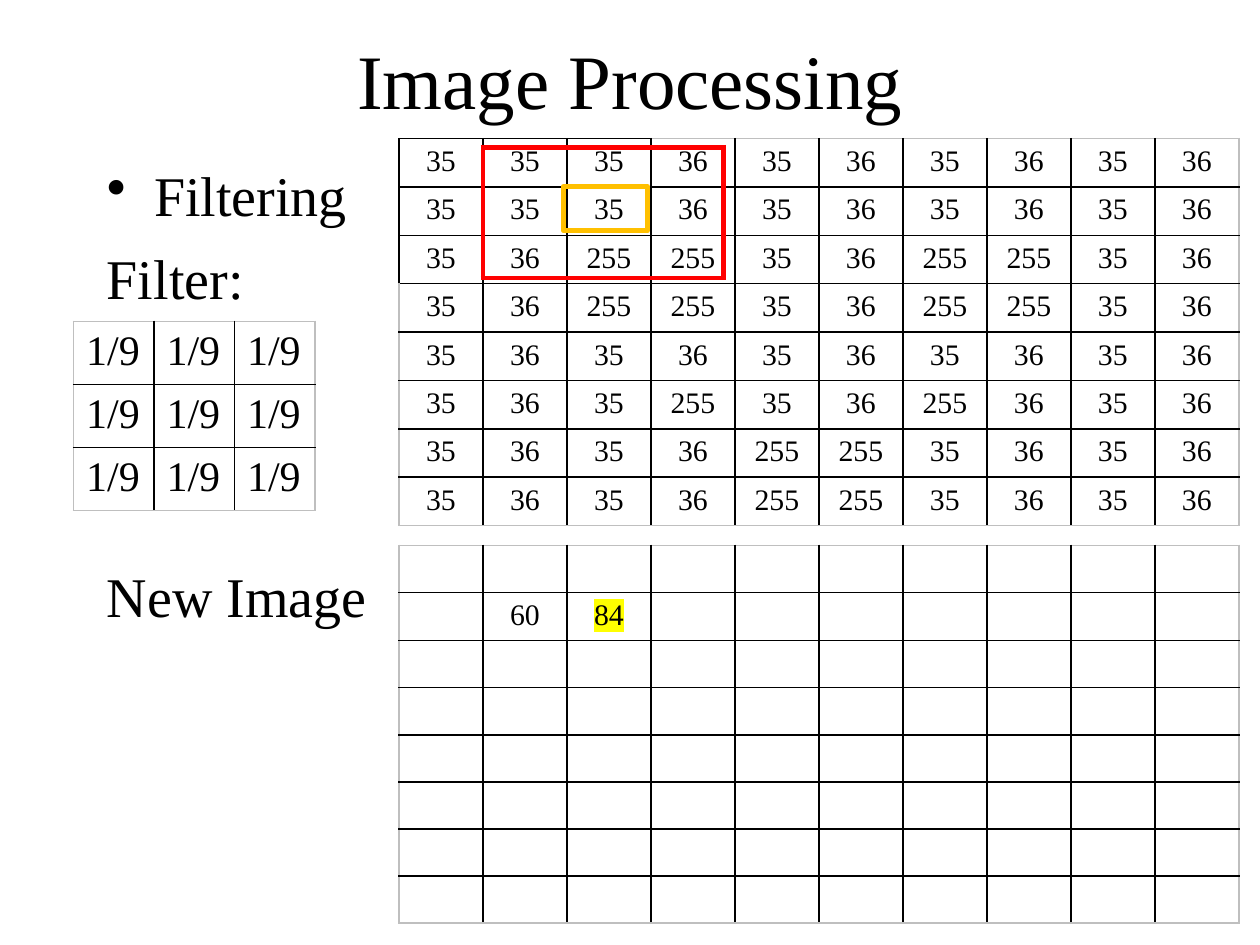
import pptx
import pptx.dml.color
import pptx.enum.shapes
import pptx.enum.text
import pptx.oxml
import pptx.oxml.ns
import pptx.util
from pptx.util import Pt

COLORS = {"black": "000000", "edge": "BFBFBF", "red": "FF0000",
          "orange": "FFC000", "yellow": "FFFF00"}
FONT = "Times New Roman"
ALIGN = pptx.enum.text.PP_ALIGN
NAMESPACE = pptx.oxml.ns.nsdecls("a")


def write(paragraph, text, size, align=ALIGN.LEFT, before=0, highlight=None):
    paragraph.alignment = align
    paragraph.space_before = Pt(before)
    run = paragraph.add_run()
    run.text = text
    run.font.name = FONT
    run.font.size = Pt(size)
    run.font.color.rgb = pptx.dml.color.RGBColor.from_string(COLORS["black"])
    if highlight:
        mark = pptx.oxml.parse_xml(
            f'<a:highlight {NAMESPACE}><a:srgbClr val="{COLORS[highlight]}"/></a:highlight>')
        run.font.fill._xPr.find(pptx.oxml.ns.qn("a:solidFill")).addnext(mark)


def add_grid(values, left, top, column_width, row_height, size=17, align=ALIGN.CENTER,
             outer="edge", line_width=1, dark_edge=0, highlights=()):
    """Add an unfilled bordered table; dark_edge counts the cells from the
    top-left corner whose outer border is black."""
    row_count, column_count = len(values), len(values[0])
    table = slide.shapes.add_table(
        row_count, column_count, Pt(left), Pt(top),
        Pt(column_width * column_count), Pt(row_height * row_count)).table
    table.first_row = table.horz_banding = False
    for column in table.columns:
        column.width = Pt(column_width)
    for row in table.rows:
        row.height = Pt(row_height)
    for r, row_values in enumerate(values):
        for c, value in enumerate(row_values):
            cell = table.cell(r, c)
            borders = {
                "lnL": outer if c == 0 and r >= dark_edge else "black",
                "lnR": outer if c == column_count - 1 else "black",
                "lnT": outer if r == 0 and c >= dark_edge else "black",
                "lnB": outer if r == row_count - 1 else "black",
            }
            properties = cell._tc.get_or_add_tcPr()
            for side, color in borders.items():
                properties.append(pptx.oxml.parse_xml(
                    f'<a:{side} {NAMESPACE} w="{Pt(line_width)}"><a:solidFill>'
                    f'<a:srgbClr val="{COLORS[color]}"/></a:solidFill></a:{side}>'))
            cell.fill.background()
            if value:
                mark = "yellow" if value in highlights else None
                write(cell.text_frame.paragraphs[0], value, size, align, highlight=mark)
            else:
                cell.margin_top = cell.margin_bottom = 0


presentation = pptx.Presentation()
presentation.slide_width, presentation.slide_height = Pt(720), Pt(540)
slide = presentation.slides.add_slide(presentation.slide_layouts[5])

# Title
title = slide.shapes.title
title.left, title.top, title.width, title.height = Pt(54), Pt(0), Pt(612), Pt(90)
title.text_frame.vertical_anchor = pptx.enum.text.MSO_ANCHOR.MIDDLE
write(title.text_frame.paragraphs[0], "Image Processing", 44, ALIGN.CENTER)

# Labels beside the tables
labels = slide.shapes.add_textbox(Pt(54), Pt(84.24), Pt(612), Pt(396)).text_frame
labels.word_wrap = True
labels.margin_top = Pt(7.3)
for index, (text, before) in enumerate([("Filtering", 0), ("Filter:", 9.2), ("New Image", 143.4)]):
    paragraph = labels.add_paragraph() if index else labels.paragraphs[0]
    write(paragraph, text, 32, before=before)
bullet_properties = labels.paragraphs[0]._p.get_or_add_pPr()
bullet_properties.set("marL", str(Pt(27)))
bullet_properties.set("indent", str(-Pt(27)))
bullet_properties.append(pptx.oxml.parse_xml(f'<a:buChar {NAMESPACE} char="•"/>'))

# Pixel values, filter weights and filtered result
pixels = [row.split() for row in (
    "35 35 35 36 35 36 35 36 35 36",
    "35 35 35 36 35 36 35 36 35 36",
    "35 36 255 255 35 36 255 255 35 36",
    "35 36 255 255 35 36 255 255 35 36",
    "35 36 35 36 35 36 35 36 35 36",
    "35 36 35 255 35 36 255 36 35 36",
    "35 36 35 36 255 255 35 36 35 36",
    "35 36 35 36 255 255 35 36 35 36",
)]
weights = [["1/9"] * 3 for _ in range(3)]
new_image = [[""] * 10 for _ in range(8)]
new_image[1][1:3] = ["60", "84"]

add_grid(pixels, 228, 79.2, 48, 26.9, dark_edge=3)
add_grid(weights, 42, 183.6, 46, 33.75, size=24, align=ALIGN.LEFT)
add_grid(new_image, 228, 311.6, 48, 26.9, highlights=("84",))

# Filter window and its centre pixel
add_grid([[""]], 276, 84.2, 137.5, 74.6, outer="red", line_width=3)
center = slide.shapes.add_shape(
    pptx.enum.shapes.MSO_SHAPE.RECTANGLE, Pt(322), Pt(106.6), Pt(48), Pt(25.2))
center.shadow.inherit = False
center.fill.background()
center.line.color.rgb = pptx.dml.color.RGBColor.from_string(COLORS["orange"])
center.line.width = Pt(3)

presentation.save("out.pptx")
